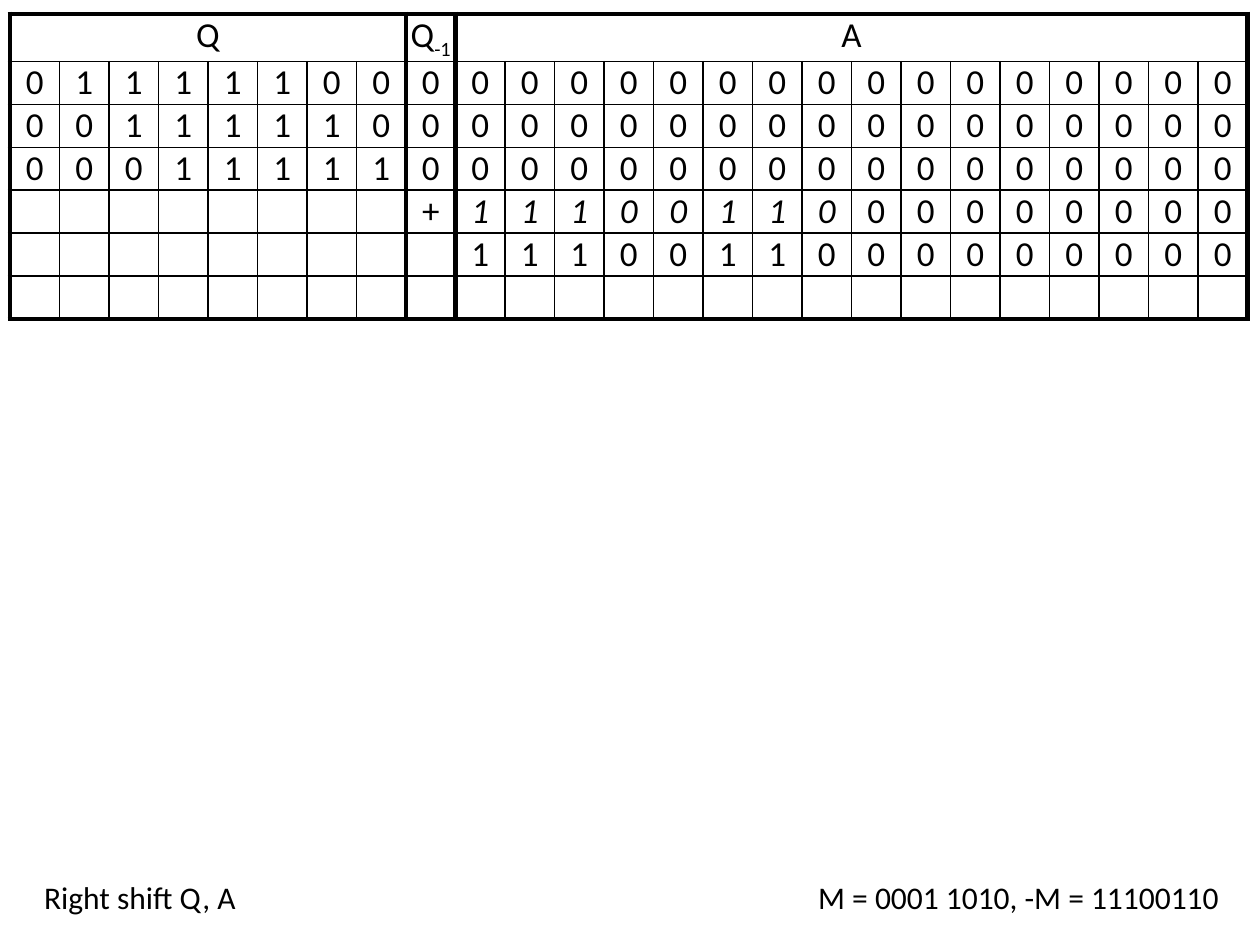
from dataclasses import dataclass
from lxml.etree import SubElement
from pptx import Presentation
from pptx.dml.color import RGBColor
from pptx.enum.text import MSO_AUTO_SIZE as AutoSize, PP_ALIGN as Align
from pptx.oxml.ns import qn
from pptx.util import Cm, Pt


@dataclass(frozen=True)
class Theme:
    font: str = "Calibri"
    ink: str = "000000"
    digit_size: int = 20
    note_size: int = 18
    thick: float = 3
    normal: float = 1
    thin: float = 0.75


THEME = Theme()
GROUPS = [("Q", "", 0, 7), ("Q", "-1", 8, 8), ("A", "", 9, 24)]
STEPS = [
    "01111100" "0" "0000000000000000",
    "00111110" "0" "0000000000000000",
    "00011111" "0" "0000000000000000",
    "        " "+" "1110011000000000",
    "        " " " "1110011000000000",
    "        " " " "                ",
]
COLUMNS = len(STEPS[0])
ROWS = len(STEPS) + 1
ADDEND_ROW = 4
ADDEND_COLUMNS = range(9, 17)
THICK_COLUMN_EDGES = {0, 8, 9, COLUMNS}
THICK_ROW_EDGES = {0, ROWS}
THIN_ROW_EDGE = 3


def write(paragraph, text, size, align=Align.LEFT, italic=False, subscript=False):
    """Add a formatted run to a paragraph."""
    paragraph.alignment = align
    run = paragraph.add_run()
    run.text = text
    font = run.font
    font.name, font.size, font.italic = THEME.font, Pt(size), italic
    font.color.rgb = RGBColor.from_string(THEME.ink)
    if subscript:
        run._r.get_or_add_rPr().set("baseline", "-25000")


def set_borders(cell, widths):
    """Draw the four cell borders with the given widths in points."""
    properties = cell._tc.get_or_add_tcPr()
    for side, width in zip("LRTB", widths):
        line = SubElement(properties, qn(f"a:ln{side}"), w=str(Pt(width)))
        fill = SubElement(line, qn("a:solidFill"))
        SubElement(fill, qn("a:srgbClr"), val=THEME.ink)


def column_edge(index):
    """Return the width of a vertical rule."""
    return THEME.thick if index in THICK_COLUMN_EDGES else THEME.normal


def row_edge(index, column):
    """Return the width of a horizontal rule above or below a column's cell."""
    if index in THICK_ROW_EDGES:
        return THEME.thick
    in_product = column >= ADDEND_COLUMNS.start
    return THEME.thin if index == THIN_ROW_EDGE and in_product else THEME.normal


def format_cell(cell, row, first, last):
    """Clear margins and fill, and rule a cell that spans first to last column."""
    cell.margin_left = cell.margin_right = cell.margin_top = cell.margin_bottom = 0
    set_borders(cell, (column_edge(first), column_edge(last + 1),
                       row_edge(row, first), row_edge(row + 1, first)))
    cell.fill.background()


def add_register_table(slide, left, top, width, row_height):
    """Add the table of register contents after each step."""
    frame = slide.shapes.add_table(ROWS, COLUMNS, Cm(left), Cm(top),
                                   Cm(width), Cm(row_height * ROWS))
    table = frame.table
    table.first_row = table.horz_banding = False
    for column in table.columns:
        column.width = Cm(width / COLUMNS)

    for name, index, first, last in GROUPS:
        for position in range(first, last + 1):
            format_cell(table.cell(0, position), 0, first, last)
        cell = table.cell(0, first)
        if last > first:
            cell.merge(table.cell(0, last))
        paragraph = cell.text_frame.paragraphs[0]
        write(paragraph, name, THEME.digit_size, align=Align.CENTER)
        if index:
            write(paragraph, index, THEME.digit_size, align=Align.CENTER, subscript=True)

    for row, digits in enumerate(STEPS, start=1):
        for column, digit in enumerate(digits):
            cell = table.cell(row, column)
            format_cell(cell, row, column, column)
            paragraph = cell.text_frame.paragraphs[0]
            if digit.strip():
                italic = row == ADDEND_ROW and column in ADDEND_COLUMNS
                write(paragraph, digit, THEME.digit_size, align=Align.CENTER, italic=italic)
            else:
                SubElement(paragraph._p, qn("a:endParaRPr"), sz=str(THEME.digit_size * 100))


def add_note(slide, text, left, top, width, height, align=Align.LEFT):
    """Add a one-line note in the given box."""
    box = slide.shapes.add_textbox(Cm(left), Cm(top), Cm(width), Cm(height))
    frame = box.text_frame
    frame.word_wrap = True
    frame.auto_size = AutoSize.SHAPE_TO_FIT_TEXT
    write(frame.paragraphs[0], text, THEME.note_size, align=align)


def main():
    """Build the multiplication slide."""
    presentation = Presentation()
    presentation.slide_width, presentation.slide_height = Cm(25.4), Cm(19.05)
    slide = presentation.slides.add_slide(presentation.slide_layouts[6])
    add_register_table(slide, 0.2, 0.28, 24.97, 0.81)
    add_note(slide, "M = 0001 1010, -M = 11100110 ", 15.24, 17.58, 9.73, 1.02,
             align=Align.RIGHT)
    add_note(slide, "Right shift Q, A", 0.64, 17.58, 9.73, 1.02)
    presentation.save("out.pptx")


main()
